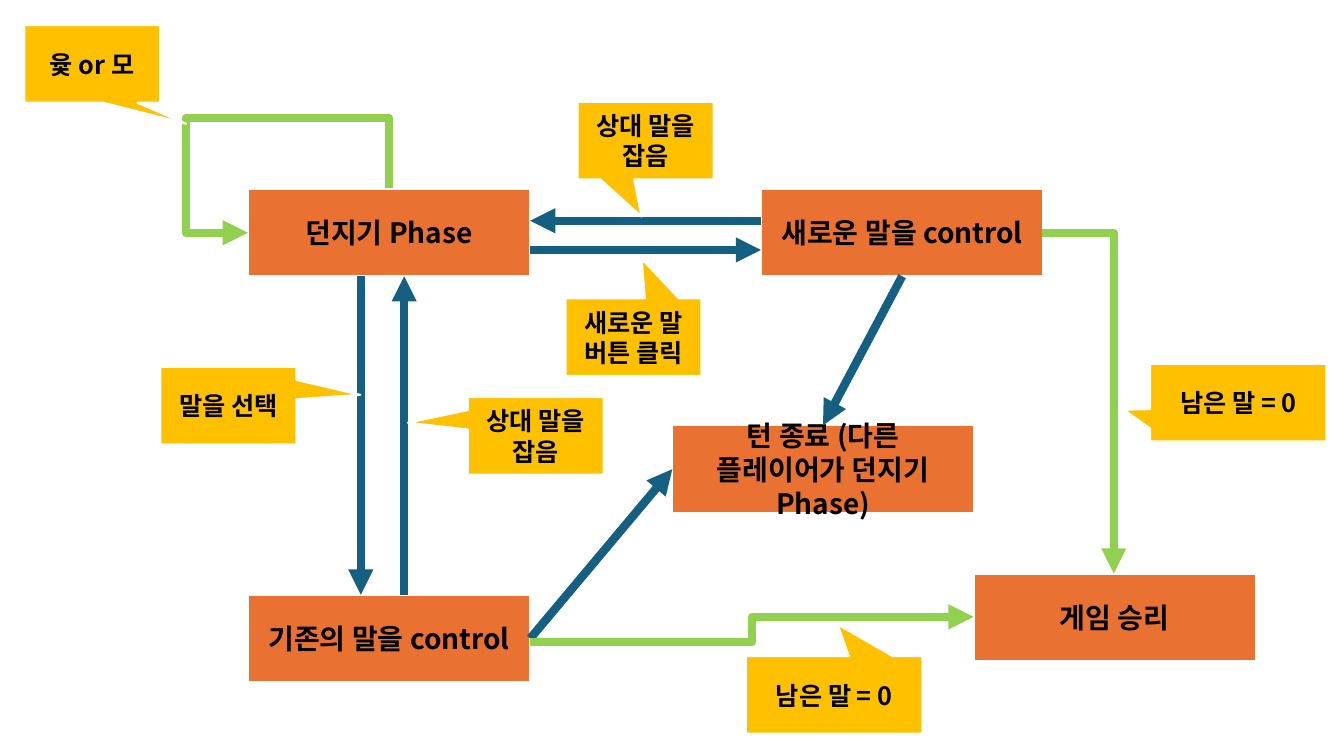
from lxml import etree
from pptx import Presentation
from pptx.dml.color import RGBColor
from pptx.enum.shapes import MSO_CONNECTOR, MSO_SHAPE
from pptx.enum.text import MSO_ANCHOR, PP_ALIGN
from pptx.oxml.ns import qn
from pptx.util import Pt

RECT = MSO_SHAPE.RECTANGLE
WEDGE = MSO_SHAPE.RECTANGULAR_CALLOUT
LINE = MSO_CONNECTOR.STRAIGHT
ELBOW = MSO_CONNECTOR.ELBOW
MIDDLE = MSO_ANCHOR.MIDDLE
CENTER = PP_ALIGN.CENTER
TOP, LEFT, BOTTOM, RIGHT = range(4)
COLORS = {
    "state": "E97132",
    "note": "FFC000",
    "move": "156082",
    "loop": "92D050",
    "edge": "FFFFFF",
    "text": "000000",
}
FONT = "Noto Sans CJK KR"


def color(key):
    """Return the named colour."""
    return RGBColor.from_string(COLORS[key])


def write(shape, text, size=20, bold=True, ink="text", align=CENTER):
    """Put formatted text into a shape."""
    frame = shape.text_frame
    frame.word_wrap = True
    frame.vertical_anchor = MIDDLE
    para = frame.paragraphs[0]
    para.alignment = align
    run = para.add_run()
    run.text = text
    font = run.font
    font.size = Pt(size)
    font.bold = bold
    font.color.rgb = color(ink)
    font.name = FONT
    etree.SubElement(run._r.get_or_add_rPr(), qn("a:ea"), typeface=FONT)


class Chart:
    """Draw the flow chart's elements on one slide."""

    def __init__(self, slide):
        """Keep the current slide and line widths."""
        self.shapes = slide.shapes
        self.edge = Pt(1.5)
        self.width = Pt(6)

    def block(self, kind, fill, text, box, size):
        """Add a filled shape with text."""
        shape = self.shapes.add_shape(kind, *map(Pt, box))
        shape.shadow.inherit = False
        shape.fill.solid()
        shape.fill.fore_color.rgb = color(fill)
        shape.line.color.rgb = color("edge")
        shape.line.width = self.edge
        write(shape, text, size=size)
        return shape

    def state(self, text, x, y, w=201.6):
        """Add a game state."""
        return self.block(RECT, "state", text, (x, y, w, 62.64), 20)

    def note(self, text, x, y, tip, w=97.2):
        """Add a callout whose tip is relative to its centre."""
        shape = self.block(WEDGE, "note", text, (x, y, w, 55.44), 18)
        shape.adjustments[0], shape.adjustments[1] = tip

    def arrow(self, ends, kind=LINE, ink="move"):
        """Add an arrow between two points."""
        line = self.shapes.add_connector(kind, *map(Pt, ends))
        line.line.color.rgb = color(ink)
        line.line.width = self.width
        etree.SubElement(line.line._get_or_add_ln(), qn("a:tailEnd"), type="triangle")
        etree.SubElement(line._element.spPr, qn("a:effectLst"))
        return line

    def join(self, start, side, end, goal):
        """Add a straight arrow joined to two states."""
        line = self.arrow((0, 0, 0, 0))
        line.begin_connect(start, side)
        line.end_connect(end, goal)

    def bend(self, ends, form, turn=0, adjust=()):
        """Add an elbow arrow of a given form and rotation."""
        props = self.arrow(ends, ELBOW, "loop")._element.spPr
        if turn:
            props.find(qn("a:xfrm")).set("rot", str(turn * 60000))
        geom = props.find(qn("a:prstGeom"))
        geom.set("prst", f"bentConnector{form}")
        guides = geom.find(qn("a:avLst"))
        for num, value in enumerate(adjust, 1):
            etree.SubElement(guides, qn("a:gd"), name=f"adj{num}",
                             fmla=f"val {round(value * 100000)}")


def main():
    """Build and save the game flow slide."""
    deck = Presentation()
    deck.slide_width, deck.slide_height = Pt(960), Pt(540)
    chart = Chart(deck.slides.add_slide(deck.slide_layouts[6]))

    chart.state("던지기 Phase", 177.12, 134.64)
    old = chart.state("기존의 말을 control", 177.12, 424.8)
    new = chart.state("새로운 말을 control", 543.6, 134.64)
    turn = chart.state("턴 종료 (다른 플레이어가 던지기 Phase)", 480.24, 303.84, 215.28)
    chart.state("게임 승리", 695.52, 409.68)

    for ends in (
        (257.76, 197.28, 257.76, 424.8),
        (288.72, 424.8, 288.72, 197.28),
        (378.72, 178.56, 543.6, 178.56),
        (543.6, 157.68, 378.72, 157.68),
    ):
        chart.arrow(ends)
    chart.join(new, BOTTOM, turn, TOP)
    chart.join(old, RIGHT, turn, LEFT)

    chart.bend((243.36, 200.88, 211.68, 100.08), 4, 270, (-1.59, 1.44))
    chart.bend((744.48, 166.32, 795.6, 409.68), 2)
    chart.bend((378.72, 458.64, 695.52, 440.64), 3, adjust=(0.5,))

    chart.note("말을 선택", 114.48, 262.08, (0.97, -0.14))
    chart.note("새로운 말 버튼 클릭", 403.92, 213.12, (0.06, -1.01))
    chart.note("윷 or 모", 17.28, 18, (0.69, 0.77))
    chart.note("상대 말을 잡음", 412.56, 72.72, (-0.03, 0.98))
    chart.note("상대 말을 잡음", 334.08, 283.68, (-0.94, -0.17))
    chart.note("남은 말 = 0", 532.8, 468.72, (0.02, -0.91), 126)
    chart.note("남은 말 = 0", 821.52, 259.92, (-0.65, 0.09), 126)
    deck.save("out.pptx")


if __name__ == "__main__":
    main()
